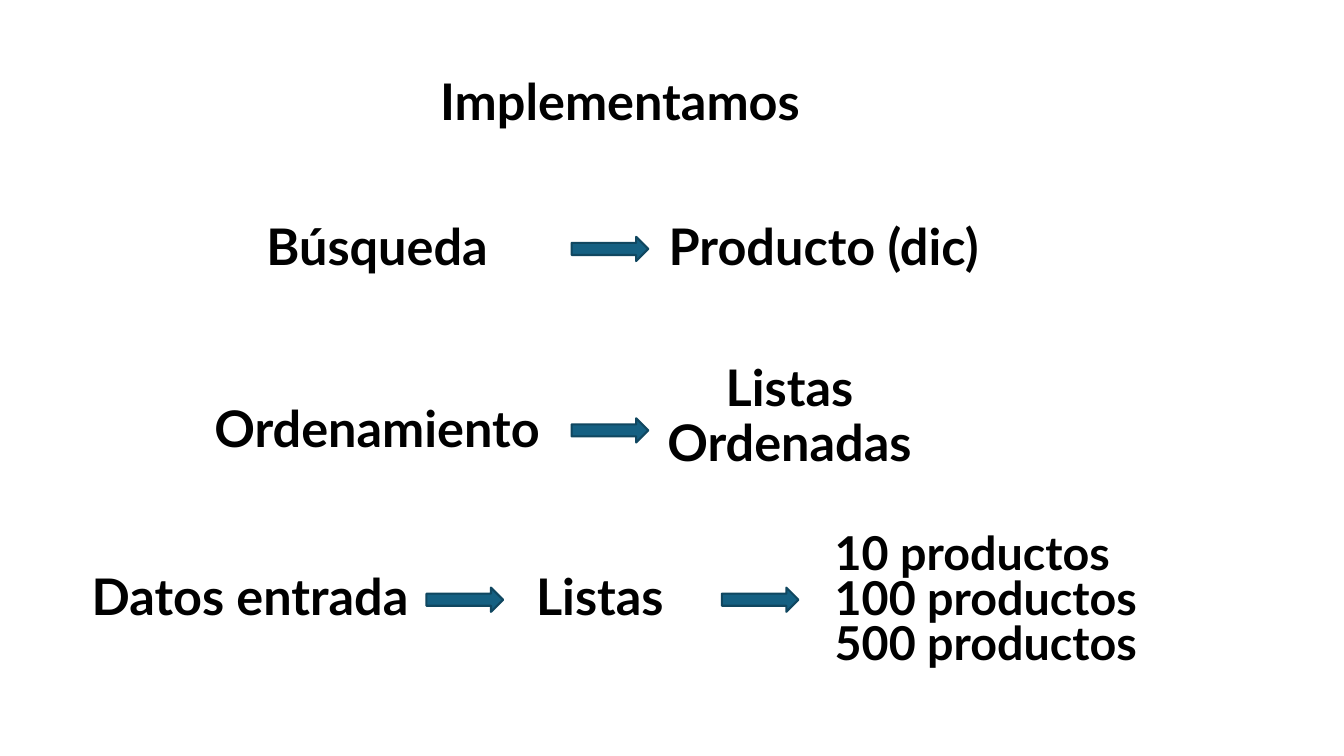
from pptx import Presentation
from pptx.dml.color import RGBColor
from pptx.enum.shapes import MSO_SHAPE
from pptx.enum.text import MSO_ANCHOR, PP_ALIGN
from pptx.util import Inches, Pt


def rgb(value):
    return RGBColor.from_string(value)


class Deck:
    """Holds the style and the current slide and draws its elements."""

    font, ink = "Lato", "000000"
    arrow_fill, arrow_line = "156082", "104760"

    def __init__(self):
        self.prs = Presentation()
        self.prs.slide_width = Inches(13.33)
        self.prs.slide_height = Inches(7.5)
        self.s = self.prs.slides.add_slide(self.prs.slide_layouts[6])

    def label(self, text, x, y, w=3.48, size=36, align=PP_ALIGN.CENTER, spacing=0.9):
        sp = self.s.shapes.add_textbox(Inches(x), Inches(y), Inches(w), Inches(1.45))
        tf = sp.text_frame
        tf.word_wrap = True
        tf.vertical_anchor = MSO_ANCHOR.MIDDLE
        tf.text = text
        for p in tf.paragraphs:
            p.alignment = align
            p.line_spacing = spacing
            for r in p.runs:
                r.font.name = self.font
                r.font.size = Pt(size)
                r.font.bold = True
                r.font.color.rgb = rgb(self.ink)

    def arrow(self, x, y):
        sp = self.s.shapes.add_shape(
            MSO_SHAPE.RIGHT_ARROW, Inches(x), Inches(y), Inches(0.76), Inches(0.24))
        sp.shadow.inherit = False
        sp.fill.solid()
        sp.fill.fore_color.rgb = rgb(self.arrow_fill)
        sp.line.color.rgb = rgb(self.arrow_line)
        sp.line.width = Pt(1.5)


def main():
    deck = Deck()
    deck.label("Implementamos", 4.21, 0.31, w=3.88)
    for text, x, y in [
        ("Búsqueda", 2, 1.75),
        ("Producto (dic)", 6.43, 1.75),
        ("Ordenamiento", 2, 3.55),
        ("Listas Ordenadas", 6.09, 3.42),
        ("Datos entrada", 0.74, 5.22),
        ("Listas", 4.21, 5.22),
    ]:
        deck.label(text, x, y)
    sizes = "\n".join(f"{n} productos" for n in (10, 100, 500))
    deck.label(sizes, 8.18, 5.25, w=3.75, size=33.3, align=PP_ALIGN.LEFT, spacing=0.8)
    for x, y in [(5.67, 2.35), (5.67, 4.15), (4.23, 5.83), (7.16, 5.83)]:
        deck.arrow(x, y)
    deck.prs.save("out.pptx")


if __name__ == "__main__":
    main()
